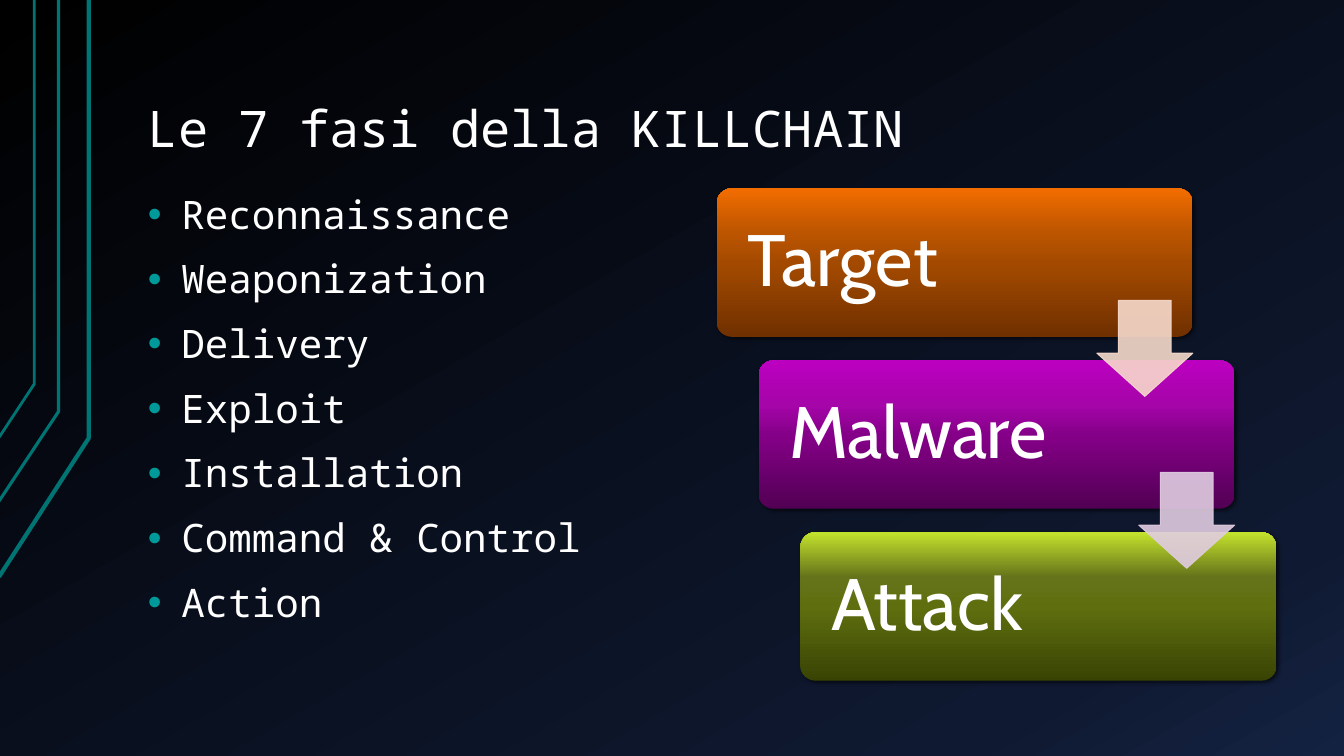
"""Build the slide on the seven kill chain phases and its three-step cascade."""
from dataclasses import dataclass

from lxml.etree import SubElement
from pptx import Presentation
from pptx.dml.color import RGBColor
from pptx.enum.shapes import MSO_SHAPE as Shape
from pptx.enum.text import MSO_ANCHOR as Anchor, PP_ALIGN as Align
from pptx.oxml.ns import qn
from pptx.util import Pt

TITLE = "Le 7 fasi della KILLCHAIN"
PHASES = ["Reconnaissance", "Weaponization", "Delivery", "Exploit",
          "Installation", "Command & Control", "Action"]
STEPS = [
    ("Target", [(0, "703000"), (50, "A44A00"), (70, "BC5500"), (100, "F26D00")], "F7DACC"),
    ("Malware", [(0, "520054"), (50, "850088"), (70, "A505A9"), (100, "BC00C0")], "E0CCE1"),
    ("Attack", [(0, "394404"), (50, "5F6F0F"), (70, "65741A"), (100, "C4E32D")], None),
]
TRACES = [
    ([(-0.7, 412), (63.4, 313), (63.4, 0)], 3),
    ([(-1.4, 359), (41.8, 294), (41.8, 0)], 2.25),
    ([(-0.7, 312.5), (24.5, 274.3), (24.5, 0)], 2),
]


@dataclass(frozen=True)
class Theme:
    """Colours, fonts and type sizes."""
    background: tuple = ((0, "000000"), (85, "0F1931"), (100, "142242"))
    text: str = "FFFFFF"
    bullet: str = "009999"
    trace: str = "007373"
    shadow: str = "000000"
    mono: str = "Noto Sans Mono"
    sans: str = "Cabin"
    title_size: int = 36
    body_size: int = 28
    step_size: int = 52


THEME = Theme()
SLIDE_WIDTH, SLIDE_HEIGHT = 960, 540
TEXT_LEFT, CONTENT_TOP = 96, 134.6
BULLET_INDENT = 24
STEP_WIDTH, STEP_HEIGHT = 340, 106
STEP_LEFT, STEP_SHIFT, STEP_DROP = 512, 29.9, 122.8
STEP_INSET = 18.8
ARROW_SIZE, ARROW_DROP = 68.5, 80


def color(value):
    return RGBColor.from_string(value)


def paint_gradient(fill, element, stops, angle):
    fill.gradient()
    gradient = next(element.iter(qn("a:gradFill")))
    gradient.clear()
    gradient.set("rotWithShape", "1")
    stop_list = SubElement(gradient, qn("a:gsLst"))
    for position, value in stops:
        stop = SubElement(stop_list, qn("a:gs"), pos=str(position * 1000))
        SubElement(stop, qn("a:srgbClr"), val=value)
    SubElement(gradient, qn("a:lin"), ang=str(angle * 60000), scaled="0")


def set_alpha(color_element, percent):
    SubElement(color_element, qn("a:alpha"), val=str(percent * 1000))


def add_shadow(shape):
    effects = next(shape.element.iter(qn("a:effectLst")))
    shadow = SubElement(effects, qn("a:outerShdw"), blurRad=str(Pt(3)), dist=str(Pt(2)),
                        dir=str(45 * 60000), algn="ctr", rotWithShape="0")
    set_alpha(SubElement(shadow, qn("a:srgbClr"), val=THEME.shadow), 60)


def set_frame(frame, anchor, side, edge):
    frame.word_wrap = True
    frame.vertical_anchor = anchor
    frame.margin_left = frame.margin_right = Pt(side)
    frame.margin_top = frame.margin_bottom = Pt(edge)


def write(paragraph, text, font, size):
    paragraph.alignment = Align.LEFT
    paragraph.line_spacing = 0.9
    run = paragraph.add_run()
    run.text = text
    run.font.name = font
    run.font.size = Pt(size)
    run.font.color.rgb = color(THEME.text)


def add_bullet(paragraph):
    properties = paragraph._p.get_or_add_pPr()
    properties.set("marL", str(Pt(BULLET_INDENT)))
    properties.set("indent", str(Pt(-BULLET_INDENT)))
    bullet_color = SubElement(properties, qn("a:buClr"))
    SubElement(bullet_color, qn("a:srgbClr"), val=THEME.bullet)
    SubElement(properties, qn("a:buFont"), typeface="Arial")
    SubElement(properties, qn("a:buChar"), char="•")


def add_trace(slide, points, width):
    start, *rest = [(Pt(x), Pt(y)) for x, y in points]
    builder = slide.shapes.build_freeform(*start)
    builder.add_line_segments(rest, close=False)
    trace = builder.convert_to_shape()
    trace.shadow.inherit = False
    trace.fill.background()
    trace.line.color.rgb = color(THEME.trace)
    trace.line.width = Pt(width)


def add_title(slide):
    box = slide.shapes.add_textbox(Pt(TEXT_LEFT), Pt(21.6), Pt(816), Pt(96.5))
    set_frame(box.text_frame, Anchor.BOTTOM, 9.6, 4.8)
    write(box.text_frame.paragraphs[0], TITLE, THEME.mono, THEME.title_size)


def add_phases(slide):
    box = slide.shapes.add_textbox(Pt(TEXT_LEFT), Pt(CONTENT_TOP), Pt(399.6), Pt(351.4))
    frame = box.text_frame
    set_frame(frame, Anchor.TOP, 9.6, 4.8)
    for index, phase in enumerate(PHASES):
        paragraph = frame.add_paragraph() if index else frame.paragraphs[0]
        write(paragraph, phase, THEME.mono, THEME.body_size)
        paragraph.space_before = Pt(16)
        add_bullet(paragraph)


def step_position(index):
    return STEP_LEFT + index * STEP_SHIFT, CONTENT_TOP + index * STEP_DROP


def add_step(slide, index, label, stops):
    left, top = step_position(index)
    step = slide.shapes.add_shape(Shape.ROUNDED_RECTANGLE, Pt(left), Pt(top),
                                  Pt(STEP_WIDTH), Pt(STEP_HEIGHT))
    step.adjustments[0] = 0.1
    step.shadow.inherit = False
    paint_gradient(step.fill, step.element, stops, 270)
    step.line.fill.background()
    add_shadow(step)
    set_frame(step.text_frame, Anchor.MIDDLE, STEP_INSET, STEP_INSET)
    write(step.text_frame.paragraphs[0], label, THEME.sans, THEME.step_size)


def add_arrow(slide, index, value):
    left, top = step_position(index)
    arrow = slide.shapes.add_shape(Shape.DOWN_ARROW, Pt(left + STEP_WIDTH - ARROW_SIZE),
                                   Pt(top + ARROW_DROP), Pt(ARROW_SIZE), Pt(ARROW_SIZE))
    arrow.adjustments[0], arrow.adjustments[1] = 0.55, 0.45
    arrow.shadow.inherit = False
    arrow.fill.solid()
    arrow.fill.fore_color.rgb = color(value)
    arrow.line.color.rgb = color(value)
    arrow.line.width = Pt(0.75)
    for color_element in list(arrow.element.iter(qn("a:srgbClr"))):
        set_alpha(color_element, 90)


def main():
    presentation = Presentation()
    presentation.slide_width, presentation.slide_height = Pt(SLIDE_WIDTH), Pt(SLIDE_HEIGHT)
    slide = presentation.slides.add_slide(presentation.slide_layouts[6])
    paint_gradient(slide.background.fill, slide.element, THEME.background, 60)
    for points, width in TRACES:
        add_trace(slide, points, width)
    add_title(slide)
    add_phases(slide)
    for index, (label, stops, _) in enumerate(STEPS):
        add_step(slide, index, label, stops)
    for index, (_, _, arrow_color) in enumerate(STEPS):
        if arrow_color:
            add_arrow(slide, index, arrow_color)
    presentation.save("out.pptx")


if __name__ == "__main__":
    main()
